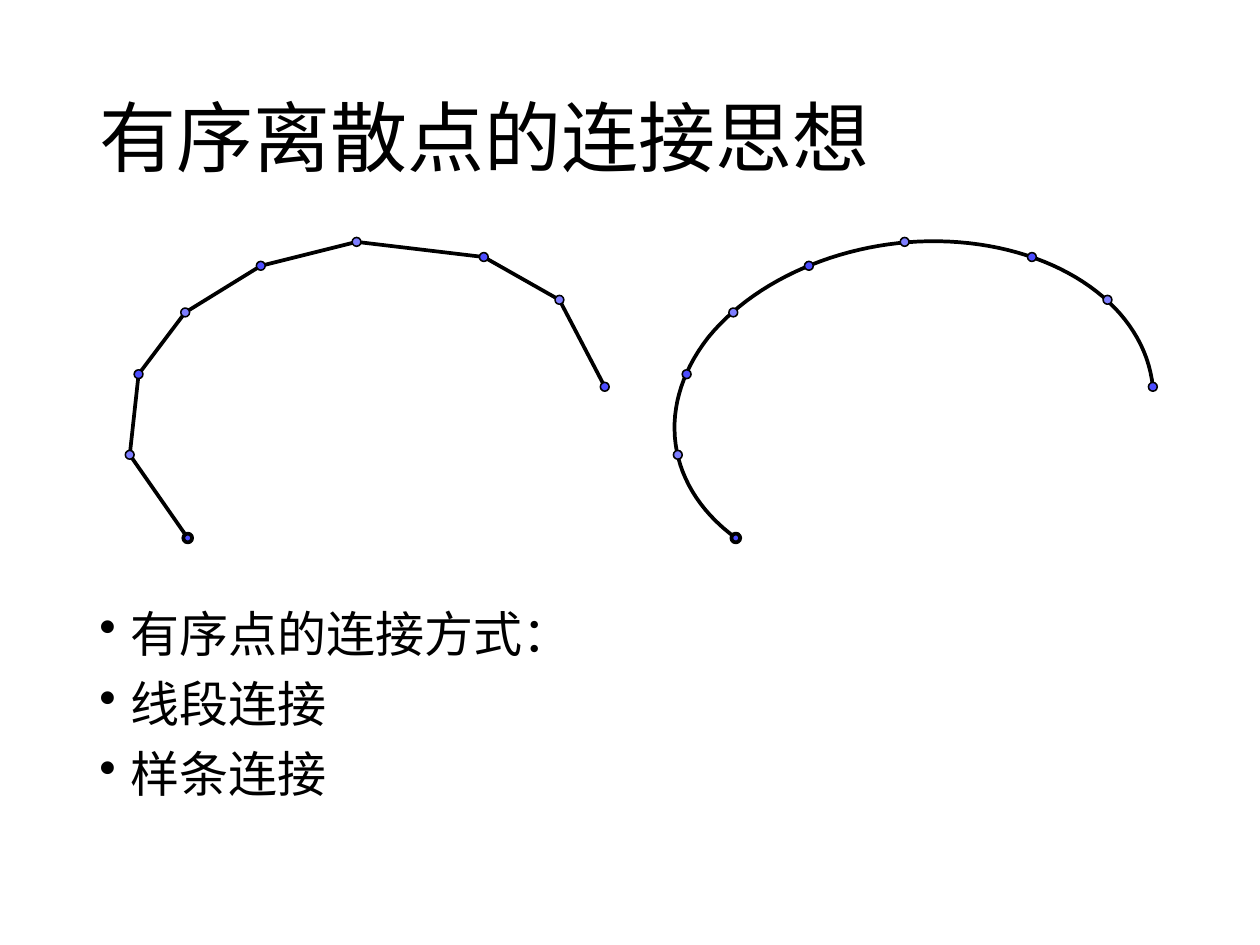
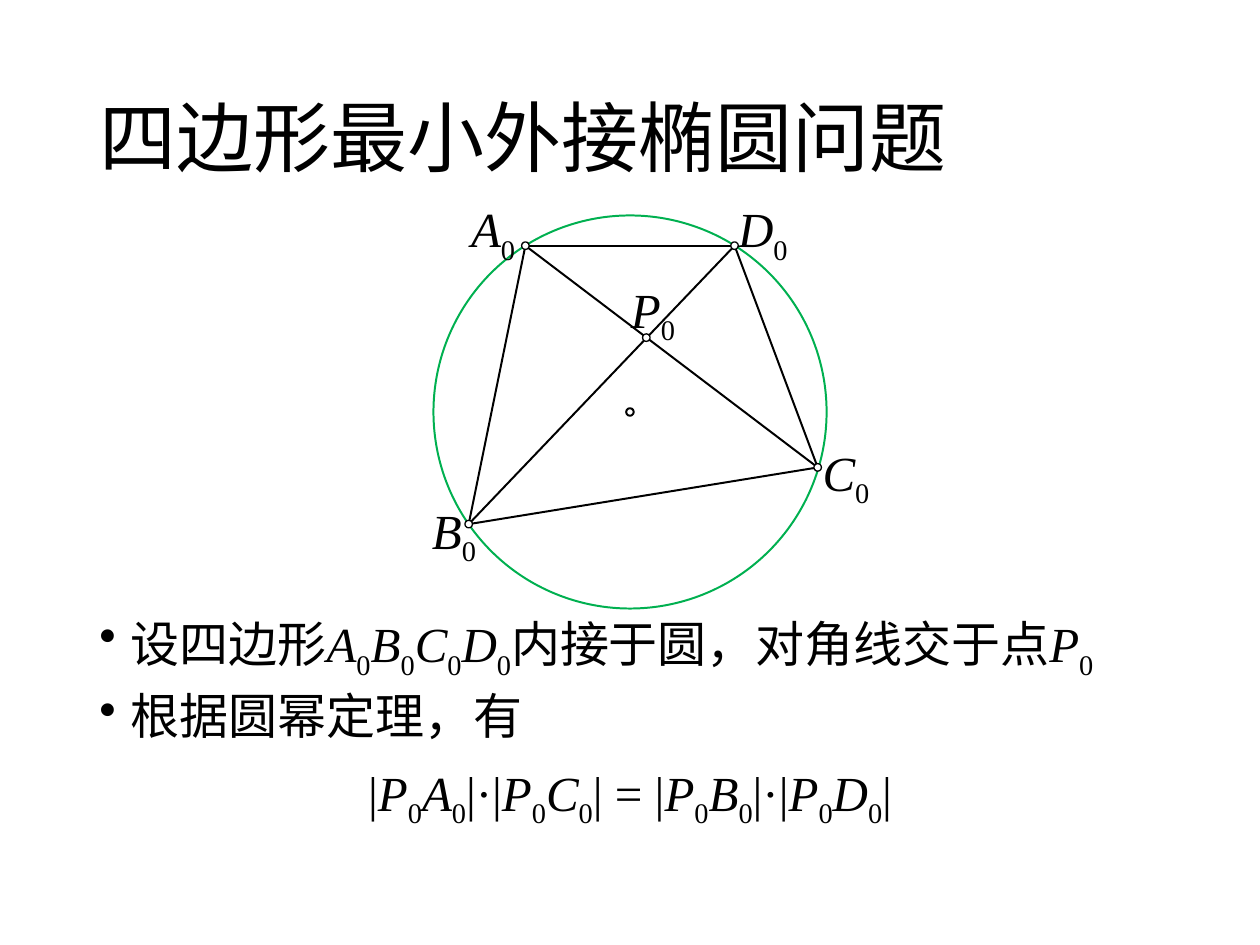
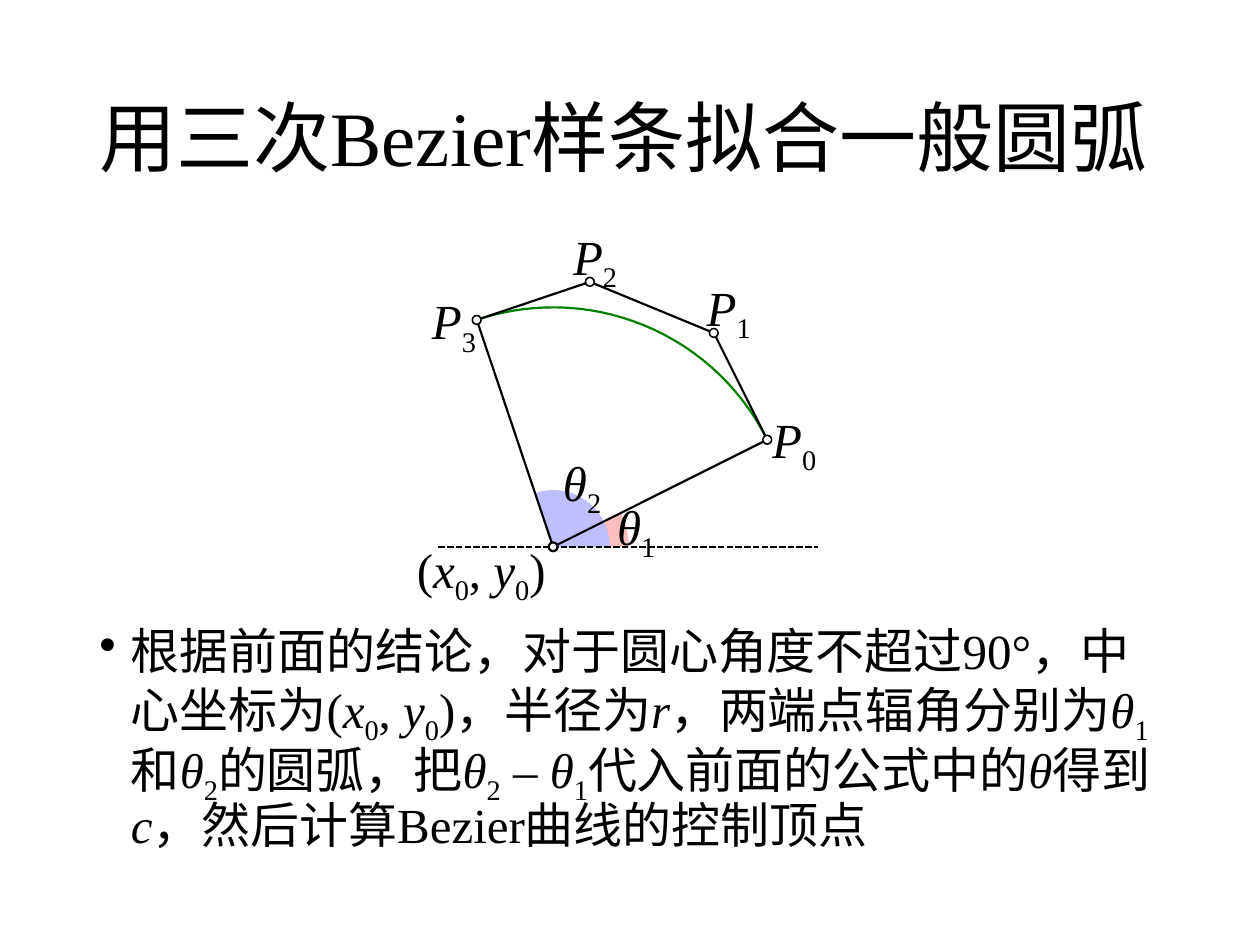
import itertools
import math

import lxml.etree
import pptx
import pptx.dml.color
import pptx.enum.dml
import pptx.enum.shapes
import pptx.enum.text
import pptx.oxml
import pptx.oxml.ns
import pptx.util

Inches, Pt = pptx.util.Inches, pptx.util.Pt
RGB = pptx.dml.color.RGBColor
qn = pptx.oxml.ns.qn

BLACK = RGB(0x00, 0x00, 0x00)
WHITE = RGB(0xFF, 0xFF, 0xFF)
BLUE = RGB(0x4D, 0x4D, 0xFF)
PALE = RGB(0x7D, 0x7D, 0xFF)
GREEN = RGB(0x00, 0xB0, 0x50)
DARK = RGB(0x00, 0x7F, 0x00)
PINK = RGB(0xFF, 0xBF, 0xBF)
LILAC = RGB(0xBF, 0xBF, 0xFF)
LATIN, HAN = "Times New Roman", "Noto Sans CJK SC"
LEFT, WIDE = 0.69, 8.62

# In all texts * switches italics on and off, and _ lowers the next character.
SPLINE = {
    "title": "有序离散点的连接思想",
    "top": 4.79,
    "body": ["有序点的连接方式：", "线段连接", "样条连接"],
    "formulas": [],
}
DOTS = [(1.49, 4.27), (1.03, 3.61), (1.1, 2.97), (1.47, 2.48), (2.07, 2.11),
        (2.83, 1.92), (3.84, 2.04), (4.44, 2.38), (4.8, 3.07)]
SHIFT = 4.35
CURVE = [(9.15, 3.07), (9.09, 2.48), (8.5, 2.02), (7.69, 1.93), (6.89, 1.84),
         (6.05, 2.15), (5.62, 2.68), (5.2, 3.22), (5.28, 3.86), (5.84, 4.27)]

QUAD = {
    "title": "四边形最小外接椭圆问题",
    "top": 4.83,
    "body": ["设四边形*A*_0*B*_0*C*_0*D*_0内接于圆，对角线交于点*P*_0",
             "根据圆幂定理，有"],
    "formulas": ["|*P*_0*A*_0|·|*P*_0*C*_0| = |*P*_0*B*_0|·|*P*_0*D*_0|"],
}
MID, RADIUS = (5, 3.27), 1.56
NODES = {"A": (4.17, 1.95), "B": (3.72, 4.16), "C": (6.49, 3.71),
         "D": (5.83, 1.95), "P": (5.13, 2.68)}
EDGES = ["AB", "BC", "CD", "DA", "AC", "DB"]
NAMES = [("*A*_0", 3.64, 1.53, 0.57), ("*B*_0", 3.33, 3.92, 0.57),
         ("*C*_0", 6.43, 3.46, 0.59), ("*D*_0", 5.76, 1.53, 0.62),
         ("*P*_0", 4.91, 2.17, 0.57)]

ARC = {
    "title": "用三次Bezier样条拟合一般圆弧",
    "top": 4.93,
    "body": ["根据前面的结论，对于圆心角度不超过90°，中心坐标为(*x*_0, *y*_0)，"
             "半径为*r*，两端点辐角分别为*θ*_1和*θ*_2的圆弧，把*θ*_2 – *θ*_1"
             "代入前面的公式中的*θ*得到*c*，然后计算Bezier曲线的控制顶点"],
    "formulas": [],
}
HUB, REACH = (4.39, 4.34), 1.9
START, END = math.radians(26.57), math.radians(108.6)
TAGS = [("*θ*_1", 4.8, 3.89, 0.53), ("*θ*_2", 4.37, 3.54, 0.53),
        ("*P*_0", 6.03, 3.2, 0.57), ("*P*_1", 5.51, 2.15, 0.57),
        ("*P*_2", 4.45, 1.75, 0.57), ("*P*_3", 3.33, 2.26, 0.57),
        ("(*x*_0, *y*_0)", 3.21, 4.23, 1.27)]


def split(text):
    """Yield (string, italic, lowered) for each run of marked text."""
    marked, slant, low = [], False, False
    for char in text:
        if char == "*":
            slant = not slant
        elif char == "_":
            low = True
        else:
            marked.append((char, slant, low))
            low = False
    for style, group in itertools.groupby(marked, key=lambda item: item[1:]):
        yield "".join(item[0] for item in group), *style


def write(para, text, size=28):
    for part, slant, low in split(text):
        run = para.add_run()
        run.text = part
        if slant:
            run.font.italic = True
        if low:
            run._r.get_or_add_rPr().set("baseline", "-25000")
    font = para.font
    font.size, font.name = Pt(size), LATIN
    font.color.rgb = BLACK
    base = para._p.pPr.find(qn("a:defRPr"))
    east = lxml.etree.Element(qn("a:ea"), typeface=HAN)
    base.find(qn("a:latin")).addnext(east)


def bullet(para):
    props = para._p.pPr
    props.set("marL", str(Inches(0.25)))
    props.set("indent", str(Inches(-0.25)))
    mark = lxml.etree.Element(qn("a:buChar"), char="•")
    props.find(qn("a:defRPr")).addprevious(mark)


def add_box(slide, left, top, width, height, wrap=True):
    box = slide.shapes.add_textbox(*map(Inches, (left, top, width, height)))
    frame = box.text_frame
    frame.word_wrap = wrap
    return frame


def add_page(deck, page):
    slide = deck.slides.add_slide(deck.slide_layouts[6])
    head = add_box(slide, LEFT, 0.4, WIDE, 1.45)
    head.vertical_anchor = pptx.enum.text.MSO_ANCHOR.MIDDLE
    head.paragraphs[0].line_spacing = 0.9
    write(head.paragraphs[0], page["title"], 44)

    body = add_box(slide, LEFT, page["top"], WIDE, 6.75 - page["top"])
    for i, text in enumerate(page["body"] + page["formulas"]):
        para = body.add_paragraph() if i else body.paragraphs[0]
        para.line_spacing, para.space_before = 0.9, Pt(10)
        write(para, text)
        if i < len(page["body"]):
            bullet(para)
        else:
            para.alignment = pptx.enum.text.PP_ALIGN.CENTER
    return slide


def add_tags(slide, tags):
    for text, left, top, width in tags:
        frame = add_box(slide, left, top, width, 0.57, wrap=False)
        frame.auto_size = pptx.enum.text.MSO_AUTO_SIZE.SHAPE_TO_FIT_TEXT
        write(frame.paragraphs[0], text)


def paint(shape, fill, color, weight):
    shape.shadow.inherit = False
    if fill is None:
        shape.fill.background()
    else:
        shape.fill.solid()
        shape.fill.fore_color.rgb = fill
    if color is None:
        shape.line.fill.background()
    else:
        shape.line.color.rgb = color
        shape.line.width = Pt(weight)


def add_disc(slide, mid, radius, fill, color, weight):
    x, y = mid
    oval = slide.shapes.add_shape(
        pptx.enum.shapes.MSO_SHAPE.OVAL, Inches(x - radius),
        Inches(y - radius), Inches(2 * radius), Inches(2 * radius))
    paint(oval, fill, color, weight)


def add_line(slide, start, end, weight, dash=None):
    line = slide.shapes.add_connector(
        pptx.enum.shapes.MSO_CONNECTOR.STRAIGHT, *map(Inches, start + end))
    line.line.color.rgb = BLACK
    line.line.width = Pt(weight)
    if dash:
        line.line.dash_style = dash
    lxml.etree.SubElement(line._element.spPr, qn("a:effectLst"))


def add_path(slide, points, fill=None, color=None, weight=0):
    spots = [(Inches(x), Inches(y)) for x, y in points]
    pen = slide.shapes.build_freeform(*spots[0])
    pen.add_line_segments(spots[1:], close=fill is not None)
    paint(pen.convert_to_shape(), fill, color, weight)


def trace(knots, steps=30):
    """Points along joined cubic Bezier curves."""
    points = [knots[0]]
    for i in range(0, len(knots) - 1, 3):
        for t in (n / steps for n in range(1, steps + 1)):
            s = 1 - t
            parts = (s ** 3, 3 * s * s * t, 3 * s * t * t, t ** 3)
            points.append(tuple(
                sum(w * knot[axis] for w, knot in zip(parts, knots[i:i + 4]))
                for axis in (0, 1)))
    return points


def polar(angle, radius):
    return (HUB[0] + radius * math.cos(angle),
            HUB[1] - radius * math.sin(angle))


def control(start, end, radius):
    """The four Bezier control points of a circular arc."""
    c = 4 / 3 * math.tan((end - start) / 4)
    bend, far = math.atan(c), radius * math.hypot(1, c)
    return [polar(start, radius), polar(start + bend, far),
            polar(end - bend, far), polar(end, radius)]


def draw_spline(deck):
    slide = add_page(deck, SPLINE)
    add_path(slide, trace(CURVE), color=BLACK, weight=2.13)
    for start, end in itertools.pairwise(DOTS):
        add_line(slide, start, end, 2.13)
    for shift in (SHIFT, 0):
        for i, (x, y) in enumerate(DOTS):
            add_disc(slide, (x + shift, y), 0.035, PALE if i % 2 else BLUE,
                     BLACK, 0.88 if i else 2.13)


def draw_quad(deck):
    slide = add_page(deck, QUAD)
    add_disc(slide, MID, RADIUS, None, GREEN, 1.13)
    for start, end in EDGES:
        add_line(slide, NODES[start], NODES[end], 1.13)
    add_disc(slide, MID, 0.03, WHITE, BLACK, 1.13)
    for node in NODES.values():
        add_disc(slide, node, 0.03, WHITE, BLACK, 0.75)
    add_tags(slide, NAMES)


def draw_arc(deck):
    slide = add_page(deck, ARC)
    for angle, radius, fill in ((START, 0.6, PINK), (END, 0.45, LILAC)):
        add_path(slide, [HUB] + trace(control(0, angle, radius)), fill)
    knots = control(START, END, REACH)
    add_path(slide, trace(knots), color=DARK, weight=1.25)
    add_line(slide, (3.48, HUB[1]), (6.49, HUB[1]), 1.25,
             pptx.enum.dml.MSO_LINE.SQUARE_DOT)
    for start, end in itertools.pairwise([HUB, *knots, HUB]):
        add_line(slide, start, end, 1.25)
    add_disc(slide, HUB, 0.035, WHITE, BLACK, 1.25)
    for knot in knots:
        add_disc(slide, knot, 0.035, WHITE, BLACK, 0.88)
    add_tags(slide, TAGS)


def main():
    deck = pptx.Presentation()
    deck.slide_width, deck.slide_height = Inches(10), Inches(7.5)
    for draw in (draw_spline, draw_quad, draw_arc):
        draw(deck)
    deck.save("out.pptx")


if __name__ == "__main__":
    main()
